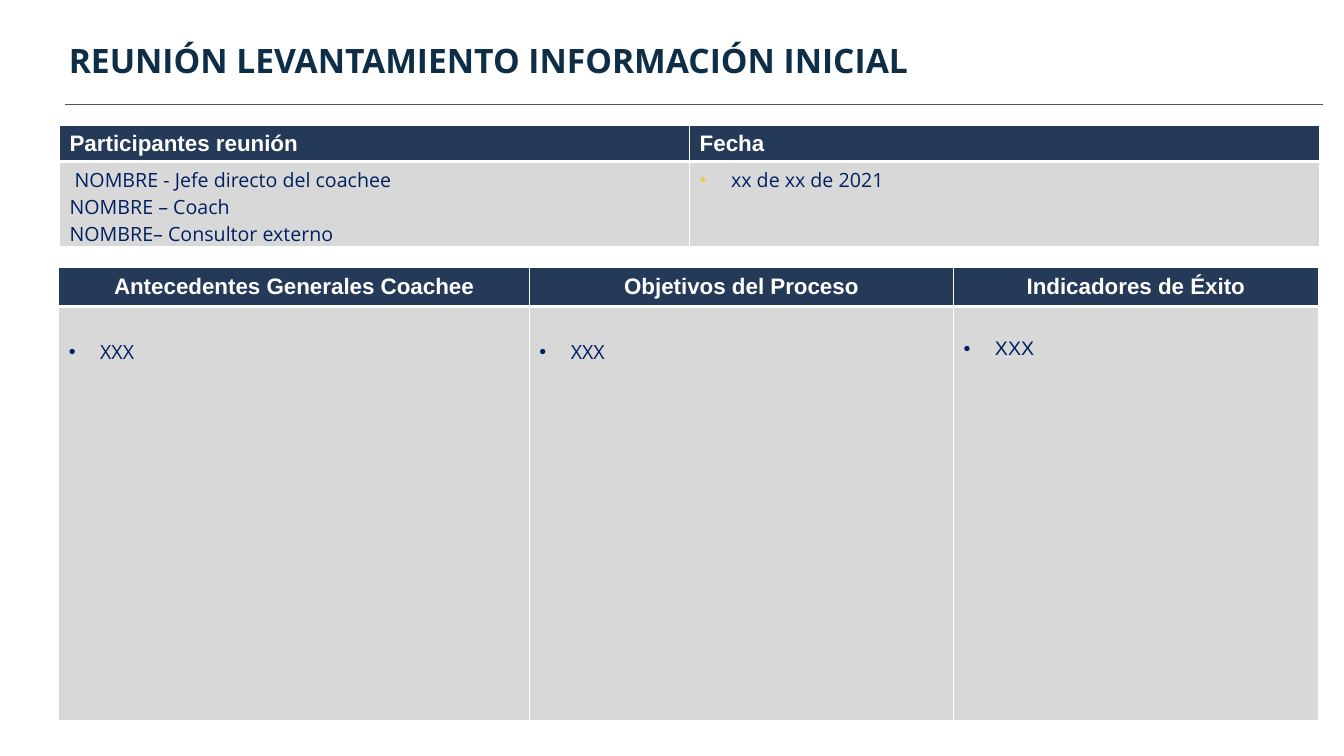
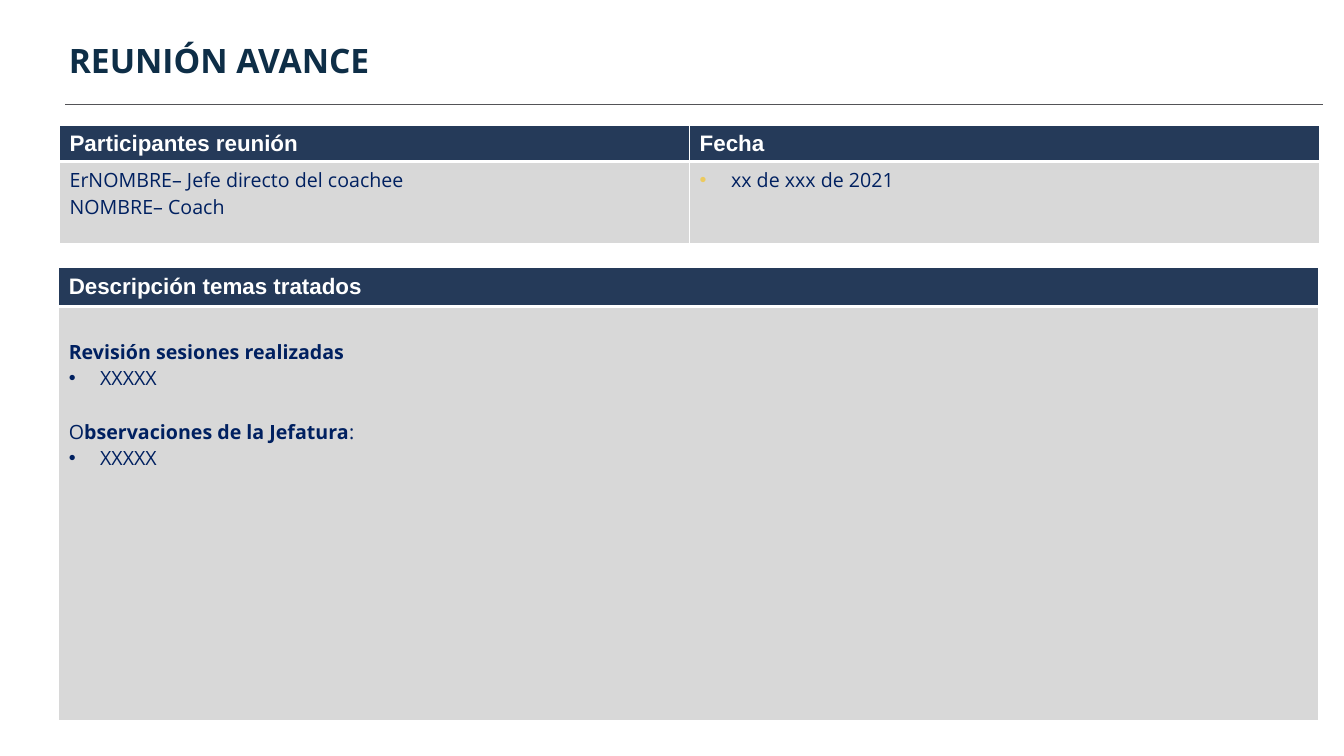
"""Build the two coaching meeting record slides."""
from lxml.etree import SubElement
from pptx import Presentation
from pptx.dml.color import RGBColor
from pptx.enum.shapes import MSO_CONNECTOR
from pptx.enum.text import MSO_ANCHOR as Anchor, PP_ALIGN as Align
from pptx.oxml.ns import qn
from pptx.util import Cm, Pt

NAVY, GREY, WHITE, INK = "253A59", "D8D8D8", "FFFFFF", "002060"
TITLE_INK, RULE, GOLD = "0E2E47", "535357", "ECCA5F"
HEADING = {"size": 16, "font": "Arial", "color": WHITE, "bold": True}


def write(para, text, size=14, font="Open Sans", color=INK, bold=False,
          align=Align.JUSTIFY, bullet=None, before=0):
    """Fill a paragraph with a string or a list of (string, bold) spans."""
    para.alignment = align
    para.space_before = Pt(before)
    for words, heavy in [(text, bold)] if isinstance(text, str) else text:
        span = para.add_run()
        span.text = words
        span.font.name, span.font.size, span.font.bold = font, Pt(size), heavy
        span.font.color.rgb = RGBColor.from_string(color)
    if bullet:
        props = para._p.get_or_add_pPr()
        props.set("marL", str(Cm(0.79)))
        props.set("indent", str(-Cm(0.79)))
        SubElement(SubElement(props, qn("a:buClr")), qn("a:srgbClr"), val=bullet)
        SubElement(props, qn("a:buFont"), typeface="Arial")
        SubElement(props, qn("a:buChar"), char="•")


def add_grid(page, left, top, widths, heights, headings, bodies, align, body_top):
    """Add a table with one heading row and one body row."""
    table = page.shapes.add_table(2, len(widths), Cm(left), Cm(top),
                                  Cm(sum(widths)), Cm(sum(heights))).table
    for row, height in zip(table.rows, heights):
        row.height = Cm(height)
    for col, width in enumerate(widths):
        table.columns[col].width = Cm(width)
        head, body = table.cell(0, col), table.cell(1, col)
        for cell, fill, bottom in ((head, NAVY, 3), (body, GREY, 1)):
            props = cell._tc.get_or_add_tcPr()
            for side, points in (("L", 1), ("R", 1), ("T", 1), ("B", bottom)):
                line = SubElement(props, qn(f"a:ln{side}"), w=str(Pt(points)))
                SubElement(SubElement(line, qn("a:solidFill")), qn("a:srgbClr"), val=WHITE)
            cell.fill.solid()
            cell.fill.fore_color.rgb = RGBColor.from_string(fill)
        body.margin_top, body.margin_bottom = Cm(body_top), 0
        head.vertical_anchor = Anchor.MIDDLE
        write(head.text_frame.paragraphs[0], headings[col], align=align, **HEADING)
        for number, (text, style) in enumerate(bodies[col]):
            frame = body.text_frame
            para = frame.add_paragraph() if number else frame.paragraphs[0]
            write(para, text, **style)


DOT = {"bullet": INK}
MEETINGS = [
    {
        "title": "REUNIÓN LEVANTAMIENTO INFORMACIÓN INICIAL",
        "people": [" NOMBRE - Jefe directo del coachee", "NOMBRE – Coach",
                   "NOMBRE– Consultor externo"],
        "date": "xx de xx de 2021",
        "widths": [11.86, 10.69, 9.19],
        "align": Align.CENTER,
        "headings": ["Antecedentes Generales Coachee", "Objetivos del Proceso",
                     "Indicadores de Éxito"],
        "bodies": [[("XXX", DOT)], [("XXX", DOT | {"align": Align.LEFT})],
                   [("XXX", DOT | {"font": "Arial"})]],
    },
    {
        "title": "REUNIÓN AVANCE",
        "people": ["ErNOMBRE– Jefe directo del coachee", "NOMBRE– Coach"],
        "date": "xx de xxx de 2021",
        "widths": [31.74],
        "align": Align.LEFT,
        "headings": ["Descripción temas tratados"],
        "bodies": [[
            ("Revisión sesiones realizadas", {"bold": True}),
            ("XXXXX", DOT),
            ([("O", False), ("bservaciones de la Jefatura", True), (":", False)],
             {"before": 19}),
            ("XXXXX", DOT),
        ]],
    },
]

deck = Presentation()
deck.slide_width, deck.slide_height = Cm(33.87), Cm(19.05)

for meeting in MEETINGS:
    page = deck.slides.add_slide(deck.slide_layouts[5])

    rule = page.shapes.add_connector(MSO_CONNECTOR.STRAIGHT, Cm(1.64), Cm(2.63),
                                     Cm(33.35), Cm(2.63))
    rule.line.color.rgb = RGBColor.from_string(RULE)
    rule.line.width = Pt(0.75)
    SubElement(rule._element.spPr, qn("a:effectLst"))

    title = page.shapes.title
    title.left, title.top, title.width, title.height = Cm(1.48), Cm(0.87), Cm(24.33), Cm(1.28)
    title.text_frame.vertical_anchor = Anchor.MIDDLE
    write(title.text_frame.paragraphs[0], meeting["title"], size=24,
          color=TITLE_INK, bold=True, align=Align.LEFT)

    add_grid(page, 1.48, 6.73, meeting["widths"], [0.99, 10.44], meeting["headings"],
             meeting["bodies"], meeting["align"], 0.8)
    add_grid(page, 1.5, 3.15, [15.88, 15.88], [0.92, 2.08],
             ["Participantes reunión", "Fecha"],
             [[(person, {}) for person in meeting["people"]],
              [(meeting["date"], {"bullet": GOLD})]], Align.LEFT, 0.13)

deck.save("out.pptx")
